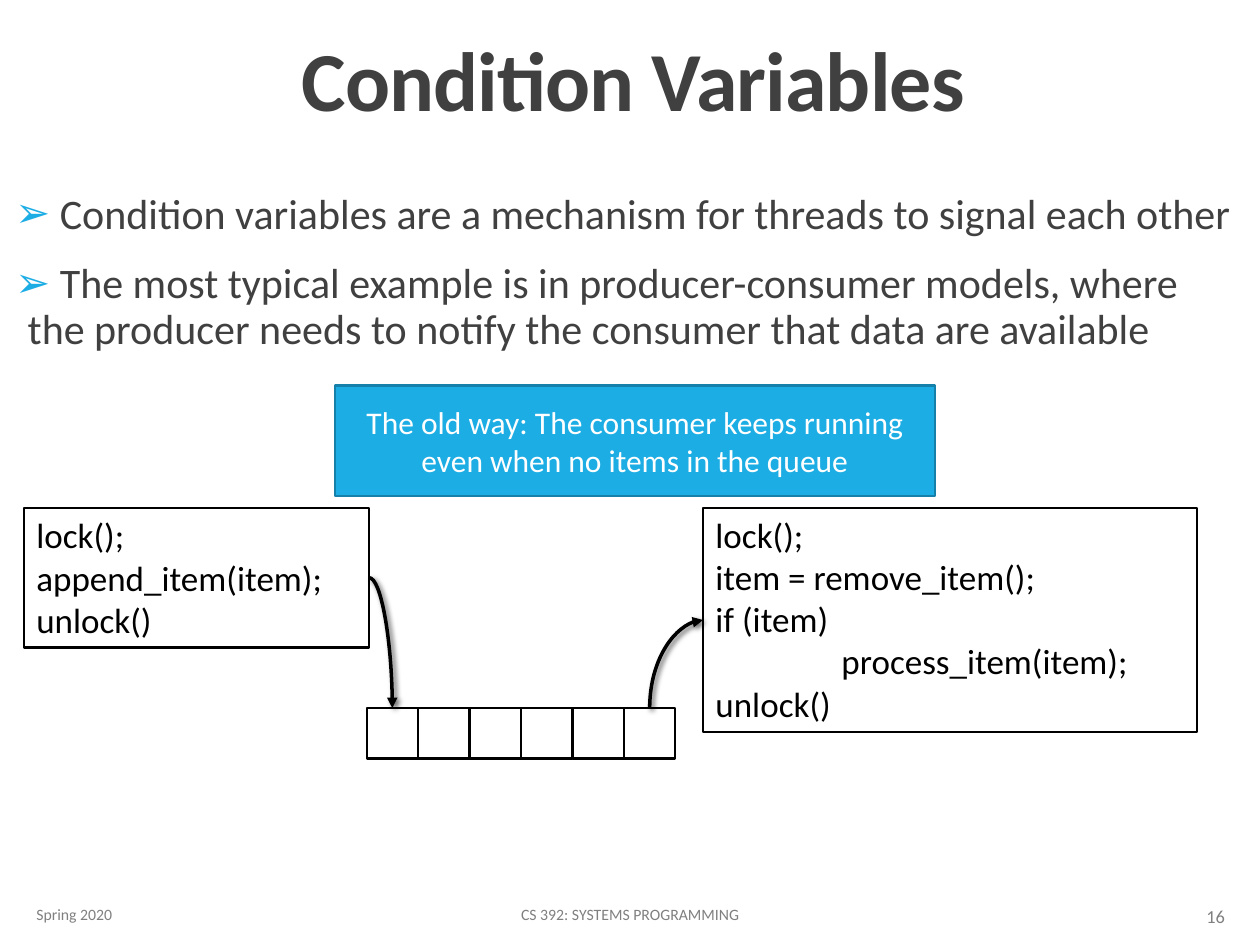
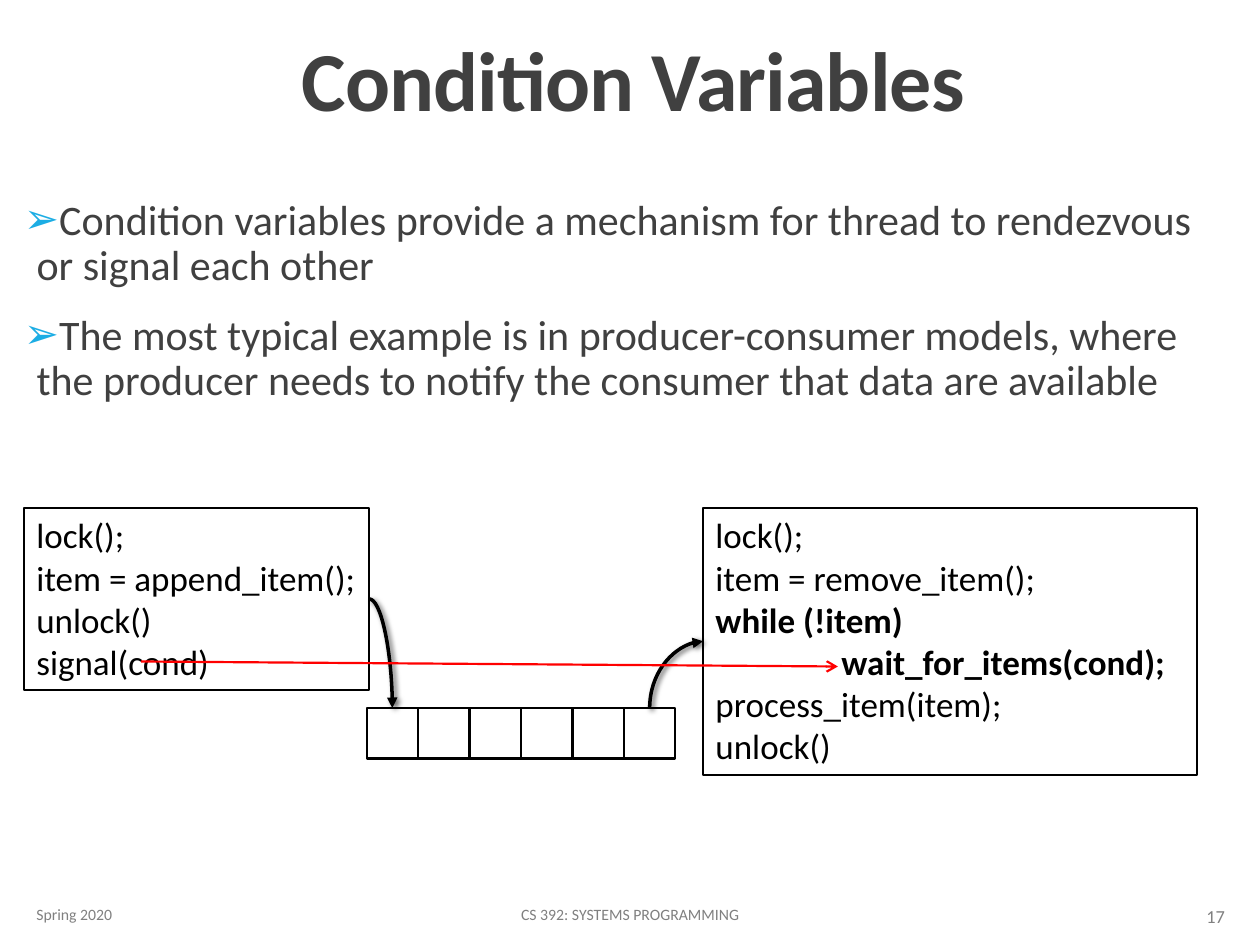
from dataclasses import dataclass
from typing import Optional

from lxml.etree import SubElement
from pptx import Presentation
from pptx.dml.color import RGBColor
from pptx.enum.shapes import MSO_CONNECTOR as CONN, MSO_SHAPE as SHAPE
from pptx.enum.text import MSO_ANCHOR as ANCHOR, MSO_AUTO_SIZE as FIT, PP_ALIGN as ALIGN
from pptx.oxml.ns import qn
from pptx.util import Inches, Pt

FONT = "Calibri"
BLACK, WHITE, RED = "000000", "FFFFFF", "FF0000"
BLUE, DARK_BLUE = "1CADE4", "1580A9"
TEXT, FOOTER = "404040", "808080"
THIN, THICK = 1.25, 2
CODE_TOP = 4.03
CODE_TAB = 1
CELLS = 6


@dataclass(frozen=True)
class Box:
    left: float
    top: float
    width: float
    height: float

    def place(self, sp) -> None:
        for name in ("left", "top", "width", "height"):
            setattr(sp, name, Inches(getattr(self, name)))

    def emu(self) -> list:
        return [Inches(v) for v in (self.left, self.top, self.width, self.height)]


@dataclass(frozen=True)
class Footer:
    box: Box
    text: str
    align: ALIGN
    size: float = 9


@dataclass(frozen=True)
class Page:
    number: int
    body: Box
    bullets: tuple
    producer: tuple
    consumer: tuple
    bold_lines: tuple = ()
    callout: Optional[str] = None
    signal: Optional[tuple] = None


TITLE = "Condition Variables"
TITLE_BOX = Box(0.9, 0.04, 8.25, 1.03)
QUEUE_BOX = Box(2.91, 5.62, 2.45, 0.4)
CALLOUT_BOX = Box(2.66, 3.06, 4.76, 0.88)
MODEL_TEXT = ("The most typical example is in producer-consumer models, where the producer "
              "needs to notify the consumer that data are available")
FOOTERS = (
    Footer(Box(0.19, 7.06, 2.03, 0.4), "Spring 2020", ALIGN.LEFT),
    Footer(Box(3.02, 7.06, 3.96, 0.4), "CS 392: SYSTEMS PROGRAMMING", ALIGN.CENTER),
)
NUMBER_BOX = Box(8.74, 7.07, 1.08, 0.4)

PAGES = (
    Page(
        16, Box(0.12, 1.48, 9.66, 5.28),
        (" Condition variables are a mechanism for threads to signal each other",
         " " + MODEL_TEXT),
        ("lock();", "append_item(item);", "unlock()"),
        ("lock();", "item = remove_item();", "if (item)", "\tprocess_item(item);", "unlock()"),
        callout="The old way: The consumer keeps running even when no items in the queue",
    ),
    Page(
        17, Box(0.19, 1.53, 9.62, 5.28),
        ("Condition variables provide a mechanism for thread to rendezvous or signal each other",
         MODEL_TEXT),
        ("lock();", "item = append_item();", "unlock()", "signal(cond)"),
        ("lock();", "item = remove_item();", "while (!item)", "\twait_for_items(cond);",
         "process_item(item);", "unlock()"),
        bold_lines=(2, 3),
        signal=(1.12, 5.25, 6.65, 5.29),
    ),
)


def rgb(color: str) -> RGBColor:
    return RGBColor.from_string(color)


def set_all(target, formats: dict) -> None:
    for name, value in formats.items():
        setattr(target, name, value)


def write(tf, lines, size: float, color: str, para: Optional[dict] = None,
          bold_lines=(), **frame) -> None:
    """Fill a text frame with one paragraph per line."""
    set_all(tf, {"word_wrap": True, "auto_size": FIT.NONE, **frame})
    for i, line in enumerate(lines):
        p = tf.paragraphs[0] if i == 0 else tf.add_paragraph()
        set_all(p, {"alignment": ALIGN.LEFT, **(para or {})})
        r = p.add_run()
        r.text = line
        set_all(r.font, {"name": FONT, "size": Pt(size), "bold": i in bold_lines})
        r.font.color.rgb = rgb(color)


def add_rect(shapes, box: Box, fill: str = WHITE, line: str = BLACK):
    sp = shapes.add_shape(SHAPE.RECTANGLE, *box.emu())
    sp.shadow.inherit = False
    sp.fill.solid()
    sp.fill.fore_color.rgb = rgb(fill)
    sp.line.color.rgb = rgb(line)
    sp.line.width = Pt(THIN)
    return sp


def add_title(s) -> None:
    sp = s.shapes.title
    TITLE_BOX.place(sp)
    write(sp.text_frame, [TITLE], 48, TEXT, {"alignment": ALIGN.CENTER, "line_spacing": 0.85},
          bold_lines=(0,), vertical_anchor=ANCHOR.BOTTOM)
    sp.text_frame.paragraphs[0].runs[0].font._element.set("spc", "-50")


def add_bullets(s, page: Page) -> None:
    sp = s.placeholders[1]
    page.body.place(sp)
    spacing = {"line_spacing": 0.9, "space_before": Pt(12), "space_after": Pt(2)}
    write(sp.text_frame, page.bullets, 24, TEXT, spacing, margin_left=0, margin_right=0,
          vertical_anchor=ANCHOR.TOP)
    for p in sp.text_frame.paragraphs:
        pPr = p._p.get_or_add_pPr()
        pPr.set("marL", str(Inches(0.1)))
        pPr.set("indent", str(-Inches(0.1)))
        SubElement(SubElement(pPr, qn("a:buClr")), qn("a:srgbClr"), val=BLUE)
        SubElement(pPr, qn("a:buChar"), char="➢")


def add_footers(s, number: int) -> None:
    for footer in (*FOOTERS, Footer(NUMBER_BOX, str(number), ALIGN.RIGHT, 10.5)):
        sp = s.shapes.add_textbox(*footer.box.emu())
        write(sp.text_frame, [footer.text], footer.size, FOOTER, {"alignment": footer.align},
              vertical_anchor=ANCHOR.MIDDLE)


def add_code(s, left: float, width: float, lines, bold_lines=()):
    """Draw a code box whose height follows its number of lines."""
    height = 0.1 + 1.01 * len(lines) / 3
    sp = add_rect(s.shapes, Box(left, CODE_TOP, width, height))
    write(sp.text_frame, lines, 20, BLACK, bold_lines=bold_lines,
          auto_size=FIT.SHAPE_TO_FIT_TEXT, vertical_anchor=ANCHOR.TOP)
    for p in sp.text_frame.paragraphs:
        tabs = SubElement(p._p.get_or_add_pPr(), qn("a:tabLst"))
        SubElement(tabs, qn("a:tab"), pos=str(Inches(CODE_TAB)), algn="l")
    return sp


def add_queue(s) -> list:
    group = s.shapes.add_group_shape()
    q, step = QUEUE_BOX, QUEUE_BOX.width / CELLS
    return [add_rect(group.shapes, Box(q.left + i * step, q.top, step, q.height))
            for i in range(CELLS)]


def style_arrow(cn, color: str, width: float, head: str, shadow: bool = False) -> None:
    cn.line.color.rgb = rgb(color)
    cn.line.width = Pt(width)
    SubElement(cn.line._get_or_add_ln(), qn("a:tailEnd"), type=head)
    effects = SubElement(cn._element.spPr, qn("a:effectLst"))
    if shadow:
        outer = SubElement(effects, qn("a:outerShdw"), blurRad=str(Pt(3)), dist=str(Pt(2)),
                           dir=str(45 * 60000), rotWithShape="0")
        clr = SubElement(outer, qn("a:srgbClr"), val=BLACK)
        SubElement(clr, qn("a:alpha"), val="60000")


def add_curve(s, start, start_side: int, end, end_side: int):
    """Join two shapes by a quarter curve."""
    cn = s.shapes.add_connector(CONN.CURVE, 0, 0, 0, 0)
    cn.begin_connect(start, start_side)
    cn.end_connect(end, end_side)
    cn._element.spPr.prstGeom.set("prst", "curvedConnector2")
    style_arrow(cn, BLACK, THICK, "triangle", shadow=True)
    return cn


def start_upward(cn) -> None:
    """Turn a curve that rises to the right so that it leaves vertically."""
    w, h = cn.width, cn.height
    shift = (w - h) // 2
    set_all(cn, {"left": cn.left + shift, "top": cn.top - shift, "width": h, "height": w})
    for name, value in {"rot": str(90 * 60000), "flipH": "1", "flipV": "1"}.items():
        cn._element.spPr.xfrm.set(name, value)


def add_page(prs, page: Page) -> None:
    s = prs.slides.add_slide(prs.slide_layouts[1])
    add_title(s)
    add_bullets(s, page)
    add_footers(s, page.number)
    producer = add_code(s, 0.19, 2.74, page.producer)
    consumer = add_code(s, 5.58, 3.92, page.consumer, page.bold_lines)
    cells = add_queue(s)
    add_curve(s, producer, 3, cells[0], 0)
    start_upward(add_curve(s, cells[-1], 0, consumer, 1))
    if page.callout:
        sp = add_rect(s.shapes, CALLOUT_BOX, BLUE, DARK_BLUE)
        write(sp.text_frame, [page.callout], 18, WHITE, {"alignment": ALIGN.CENTER},
              vertical_anchor=ANCHOR.MIDDLE)
    if page.signal:
        cn = s.shapes.add_connector(CONN.STRAIGHT, *map(Inches, page.signal))
        style_arrow(cn, RED, THIN, "arrow")


def main() -> None:
    prs = Presentation()
    prs.slide_width, prs.slide_height = Inches(10), Inches(7.5)
    for page in PAGES:
        add_page(prs, page)
    prs.save("out.pptx")


if __name__ == "__main__":
    main()
